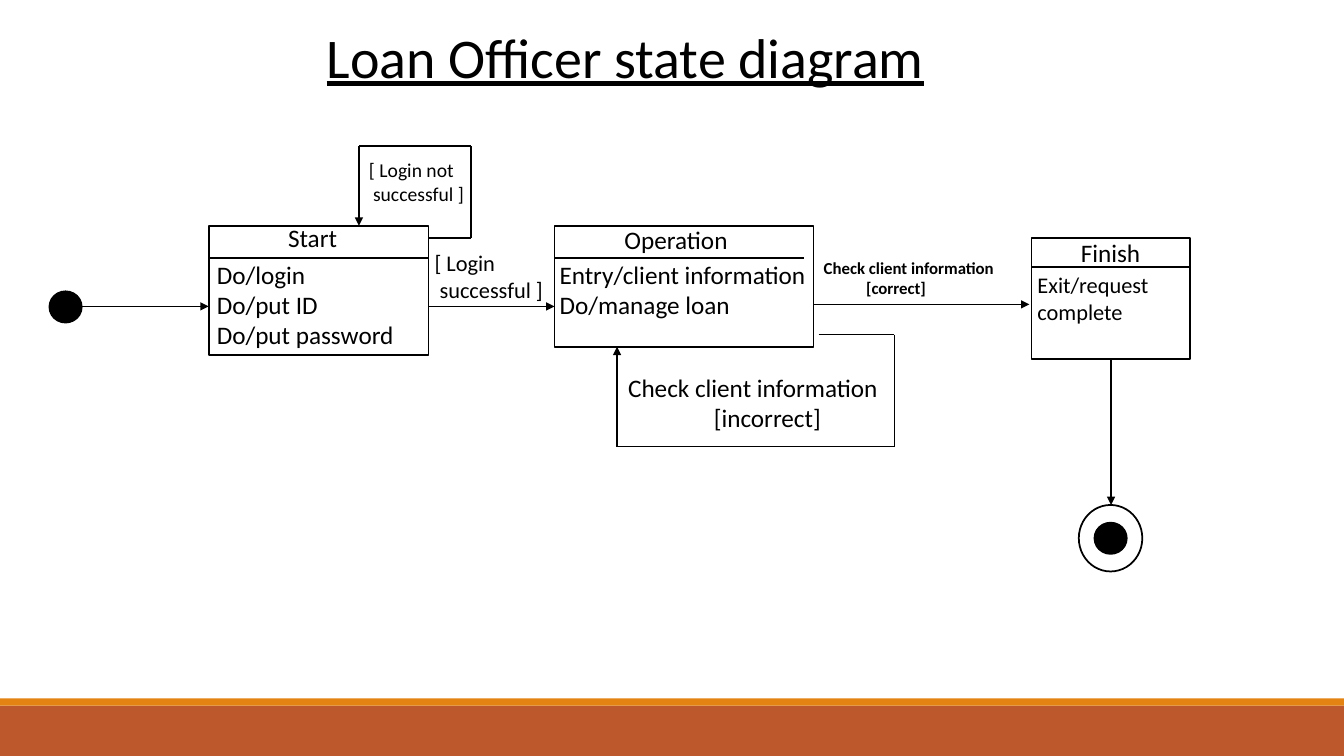
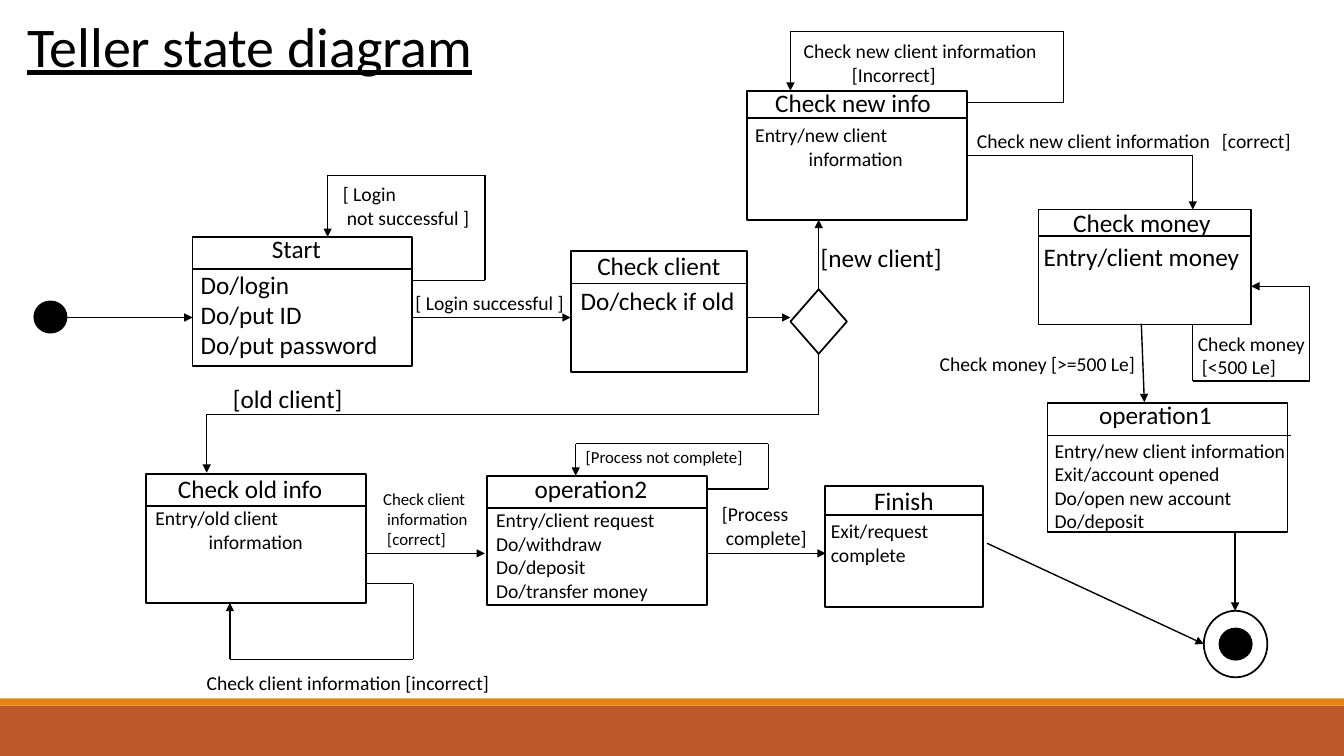
from dataclasses import dataclass
from itertools import pairwise

from lxml import etree
from pptx import Presentation
from pptx import util as u
from pptx.dml.color import RGBColor
from pptx.enum import shapes, text
from pptx.oxml.ns import qn


@dataclass(frozen=True)
class Theme:
    font: str = "Calibri"
    ink: str = "000000"
    paper: str = "FFFFFF"
    band: str = "BD582C"
    stripe: str = "E48312"
    title: int = 40
    large: int = 18
    medium: int = 16
    small: int = 14
    tiny: int = 12
    outline: float = 1.25
    stroke: float = 1


THEME = Theme()
SHAPE = shapes.MSO_SHAPE
LEFT, CENTER = text.PP_ALIGN.LEFT, text.PP_ALIGN.CENTER
WIDTH, HEIGHT = 13.33, 7.5
INSET = {"margin_left": 0, "margin_right": 0, "margin_top": u.Inches(0.05),
         "margin_bottom": 0, "word_wrap": True,
         "vertical_anchor": text.MSO_ANCHOR.TOP,
         "auto_size": text.MSO_AUTO_SIZE.NONE}
DOT_SIZE = (0.32, 0.31)
RING_SIZE = (0.63, 0.66)


@dataclass(frozen=True)
class State:
    """A state box; lengths after the box are measured from its top left."""
    box: tuple
    name: str
    lines: tuple
    divider: float = 0.32
    divider_width: float = 0
    name_shift: float = -0.06
    name_top: float = -0.08
    body_left: float = 0.08
    body_top: float = 0.28
    size: int = THEME.large


@dataclass(frozen=True)
class Label:
    """Free text; its left is where the letters begin."""
    left: float
    top: float
    width: float
    lines: tuple
    size: int = THEME.small
    bold: bool = False


def apply(target, formats):
    for name, value in formats.items():
        setattr(target, name, value)


def inches(*lengths):
    return [u.Inches(length) for length in lengths]


def color(value):
    return RGBColor.from_string(value)


def write(frame, lines, size, align=LEFT, **styles):
    """Fill a frame; a line is a string or a (string, indent) pair."""
    apply(frame, INSET)
    for index, line in enumerate(lines):
        words, indent = (line, 0) if isinstance(line, str) else line
        paragraph = frame.paragraphs[0] if index == 0 else frame.add_paragraph()
        paragraph.alignment = align
        if indent:
            paragraph._p.get_or_add_pPr().set("marL", str(u.Inches(indent)))
        run = paragraph.add_run()
        run.text = words
        apply(run.font, {"name": THEME.font, "size": u.Pt(size), **styles})
        run.font.color.rgb = color(THEME.ink)


def add_text(slide, box, lines, size, **styles):
    write(slide.shapes.add_textbox(*inches(*box)).text_frame, lines, size, **styles)


def add_figure(slide, kind, box, fill=None, outlined=True):
    shape = slide.shapes.add_shape(kind, *inches(*box))
    shape.shadow.inherit = False
    if fill:
        shape.fill.solid()
        shape.fill.fore_color.rgb = color(fill)
    else:
        shape.fill.background()
    if outlined:
        shape.line.color.rgb = color(THEME.ink)
        shape.line.width = u.Pt(THEME.outline)
    else:
        shape.line.fill.background()
    return shape


def add_route(slide, points, arrow=True):
    """Join the points by straight lines, with an arrowhead at the last."""
    for start, end in pairwise(points):
        line = slide.shapes.add_connector(
            shapes.MSO_CONNECTOR.STRAIGHT, *inches(*start, *end))
        line.line.color.rgb = color(THEME.ink)
        line.line.width = u.Pt(THEME.stroke)
        properties = line.element.spPr
        if arrow and end == points[-1]:
            head = etree.SubElement(properties.find(qn("a:ln")), qn("a:tailEnd"))
            head.set("type", "triangle")
        etree.SubElement(properties, qn("a:effectLst"))


def add_state(slide, state):
    left, top, width, height = state.box
    add_figure(slide, SHAPE.RECTANGLE, state.box, THEME.paper)
    middle = top + state.divider
    add_route(slide, [(left, middle), (left + (state.divider_width or width), middle)],
              arrow=False)
    add_text(slide, (left + state.name_shift, top + state.name_top, width, 0.4),
             [state.name], THEME.large, align=CENTER)
    add_text(slide, (left + state.body_left, top + state.body_top,
                     width, height - state.body_top),
             state.lines, state.size)


def add_label(slide, label):
    add_text(slide, (label.left, label.top, label.width, 0.34 * len(label.lines)),
             label.lines, label.size, bold=label.bold)


def add_initial(slide, left, top):
    add_figure(slide, SHAPE.OVAL, (left, top, *DOT_SIZE), THEME.ink)


def add_final(slide, left, top):
    add_figure(slide, SHAPE.OVAL, (left, top, *RING_SIZE))
    across, down = [(ring - dot) / 2 for ring, dot in zip(RING_SIZE, DOT_SIZE)]
    add_initial(slide, left + across, top + down)


def add_master_bands(master, slide):
    """Draw the bottom bands and move them to the back of the master."""
    bands = [((0, 7, WIDTH, 0.5), THEME.band), ((0, 6.93, WIDTH, 0.07), THEME.stripe)]
    for index, (box, fill) in enumerate(bands):
        band = add_figure(slide, SHAPE.RECTANGLE, box, fill, outlined=False)
        band.element.nvSpPr.cNvPr.set("id", str(100 + index))
        master.shapes.element.insert(2 + index, band.element)


def add_diagram(presentation, title, title_box, initial, final, states, routes, labels):
    slide = presentation.slides.add_slide(presentation.slide_layouts[5])
    heading = slide.shapes.title
    apply(heading, dict(zip(("left", "top", "width", "height"), inches(*title_box))))
    write(heading.text_frame, [title], THEME.title, underline=True)
    for state in states:
        add_state(slide, state)
    add_initial(slide, *initial)
    add_final(slide, *final)
    for route in routes:
        add_route(slide, route)
    for label in labels:
        add_label(slide, label)
    return slide


LOGIN_STEPS = ("Do/login", "Do/put ID", "Do/put password")
FINISH = {"name": "Finish", "lines": ("Exit/request complete",), "divider": 0.29,
          "name_shift": 0, "name_top": -0.05, "body_left": 0.06}

OFFICER = {
    "title": "Loan Officer state diagram",
    "title_box": (3.24, 0.17, 6.2, 0.77),
    "initial": (0.49, 2.89),
    "final": (10.7, 5.01),
    "states": [
        State((2.07, 2.24, 2.18, 1.28), "Start", LOGIN_STEPS),
        State((5.5, 2.24, 2.57, 1.2), "Operation",
              ("Entry/client information", "Do/manage loan"), divider_width=2.47,
              name_shift=-0.08, name_top=-0.06, body_left=0.05),
        State((10.23, 2.36, 1.57, 1.2), size=THEME.medium, **FINISH),
    ],
    "routes": [
        [(0.81, 3.04), (2.07, 3.04)],
        [(4.25, 3.04), (5.5, 3.04)],
        [(8.07, 3.02), (10.21, 3.02)],
        [(11.02, 3.57), (11.02, 5.01)],
        [(4.25, 2.36), (4.67, 2.36), (4.67, 1.45), (3.56, 1.45), (3.56, 2.24)],
        [(8.12, 3.32), (8.87, 3.32), (8.87, 4.43), (6.12, 4.43), (6.12, 3.44)],
    ],
    "labels": [
        Label(3.66, 1.52, 1.2, ("[ Login not", ("successful ]", 0.04))),
        Label(4.31, 2.42, 1.3, ("[ Login", ("successful ]", 0.05)), THEME.medium),
        Label(8.17, 2.51, 1.9, ("Check client information", ("[correct]", 0.42)),
              THEME.tiny, True),
        Label(6.23, 3.64, 2.6, ("Check client information", ("[incorrect]", 0.85)),
              THEME.large),
    ],
}

TELLER = {
    "title": "Teller state diagram",
    "title_box": (0.27, 0.06, 5, 0.77),
    "initial": (0.34, 2.99),
    "final": (11.94, 6.06),
    "states": [
        State((1.91, 2.35, 2.18, 1.28), "Start", LOGIN_STEPS, body_top=0.27),
        State((5.66, 2.49, 1.75, 1.2), "Check client", ("Do/check if old",),
              name_shift=0, name_top=-0.06, body_left=0.1, body_top=0.29),
        State((1.45, 4.7, 2.18, 1.28), "Check old info",
              ("Entry/old client", ("information", 0.53)), size=THEME.small,
              name_top=-0.05, body_left=0.09, body_top=0.27),
        State((4.83, 4.72, 2.18, 1.28), "operation2",
              ("Entry/client request", "Do/withdraw", "Do/deposit", "Do/transfer money"),
              size=THEME.small, name_top=-0.07, body_left=0.09, body_top=0.27),
        State((8.18, 4.82, 1.57, 1.2), size=THEME.small, **FINISH),
        State((10.39, 4, 2.38, 1.28), "operation1",
              ("Entry/new client information", "Exit/account opened",
               "Do/open new account", "Do/deposit"),
              size=THEME.small, divider_width=2.41, name_shift=-0.12, name_top=-0.09,
              body_left=0.07, body_top=0.3),
        State((7.41, 0.9, 2.18, 1.28), "Check new info",
              ("Entry/new client", ("information", 0.53)), size=THEME.small,
              divider=0.27, name_shift=-0.04, body_top=0.27),
        State((10.3, 2.08, 2.11, 1.14), "Check money", ("Entry/client money",),
              divider=0.26, name_shift=-0.03, name_top=-0.07,
              body_left=0.05, body_top=0.26),
    ],
    "routes": [
        [(0.66, 3.15), (1.91, 3.15)],
        [(4.1, 3.15), (5.66, 3.15)],
        [(7.41, 3.15), (7.84, 3.15)],
        [(8.12, 2.87), (8.12, 2.18)],
        [(8.12, 3.51), (8.12, 4.11), (2.05, 4.11), (2.05, 4.69)],
        [(3.63, 5.49), (4.81, 5.49)],
        [(7.01, 5.49), (8.19, 5.49)],
        [(9.79, 5.39), (11.94, 6.39)],
        [(12.25, 5.28), (12.25, 6.06)],
        [(9.59, 1.54), (11.83, 1.54), (11.83, 2.08)],
        [(11.32, 3.21), (11.35, 3.99)],
        [(4.1, 2.78), (4.81, 2.78), (4.81, 1.74), (3.25, 1.74), (3.25, 2.35)],
        [(3.63, 5.79), (4.1, 5.79), (4.1, 6.54), (2.28, 6.54), (2.28, 5.98)],
        [(7.01, 4.85), (7.62, 4.85), (7.62, 4.4), (5.71, 4.4), (5.71, 4.72)],
        [(9.59, 1.02), (10.55, 1.02), (10.55, 0.31), (7.84, 0.31), (7.84, 0.9)],
        [(11.83, 3.22), (11.83, 3.78), (12.99, 3.78), (12.99, 2.84), (12.41, 2.84)],
    ],
    "labels": [
        Label(3.4, 1.76, 1.4, ("[ Login", ("not successful ]", 0.04))),
        Label(4.12, 2.84, 1.6, ("[ Login successful ]",)),
        Label(2.31, 3.75, 1.3, ("[old client]",), THEME.large),
        Label(8.14, 2.36, 1.4, ("[new client]",), THEME.large),
        Label(3.8, 4.8, 1.2, ("Check client", ("information", 0.04), ("[correct]", 0.04)),
              THEME.tiny),
        Label(2.05, 6.61, 3.1, ("Check client information [incorrect]",)),
        Label(7.16, 4.93, 1.2, ("[Process", ("complete]", 0.04))),
        Label(5.81, 4.38, 1.8, ("[Process not complete]",), THEME.tiny),
        Label(9.69, 1.23, 2.4, ("Check new client information",)),
        Label(12.12, 1.23, 0.9, ("[correct]",)),
        Label(7.97, 0.34, 2.5, ("Check new client information", ("[Incorrect]", 0.48))),
        Label(9.32, 3.44, 2.1, ("Check money [>=500 Le]",)),
        Label(11.88, 3.24, 1.2, ("Check money", ("[<500 Le]", 0.04))),
    ],
}


def main():
    presentation = Presentation()
    apply(presentation, {"slide_width": u.Inches(WIDTH), "slide_height": u.Inches(HEIGHT)})
    officer = add_diagram(presentation, **OFFICER)
    add_master_bands(presentation.slide_master, officer)
    teller = add_diagram(presentation, **TELLER)
    add_figure(teller, SHAPE.DIAMOND, (7.84, 2.87, 0.56, 0.64), THEME.paper)
    presentation.save("out.pptx")


if __name__ == "__main__":
    main()
